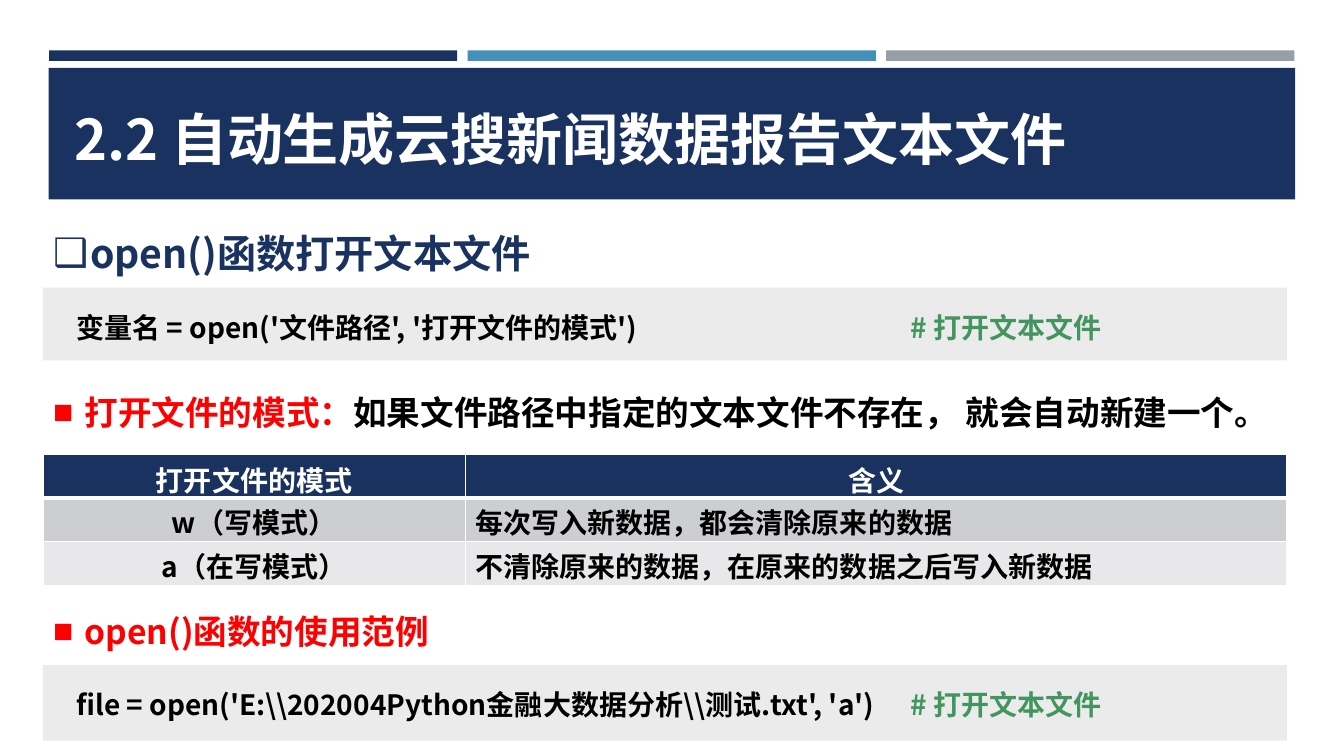
"""Build the slide on opening text files with open()."""
from lxml import etree
from pptx import Presentation
from pptx import util as u
from pptx.dml import color
from pptx.enum import shapes, text
from pptx.oxml import ns

FONT = "Noto Sans CJK SC"
HUES = {"navy": "1A3260", "blue": "4590B8", "grey": "969FA7", "pale": "EBEBEB",
        "white": "FFFFFF", "black": "000000", "red": "FF0000", "green": "42955F",
        "dark": "CDCED2", "light": "E8E8EA"}
LEFT = 30.7
WIDE = 888.5
MODES = [("打开文件的模式", "含义"),
         ("w（写模式）", "每次写入新数据，都会清除原来的数据"),
         ("a（在写模式）", "不清除原来的数据，在原来的数据之后写入新数据")]


def hue(name):
    return color.RGBColor.from_string(HUES[name])


def write(frame, *runs, size=20, align=text.PP_ALIGN.LEFT, line=1.0, after=0,
          anchor=text.MSO_ANCHOR.TOP):
    frame.word_wrap = True
    frame.vertical_anchor = anchor
    para = frame.paragraphs[0]
    para.alignment = align
    para.line_spacing = line
    para.space_before = u.Pt(0)
    para.space_after = u.Pt(after)
    for words, tint in runs:
        run = para.add_run()
        run.text = words
        font = run.font
        font.size, font.bold, font.name = u.Pt(size), True, FONT
        font.color.rgb = hue(tint)
        east = etree.SubElement(font._element, ns.qn("a:ea"))
        east.set("typeface", FONT)
    return para


def place(shape, x, y, w, h):
    shape.left, shape.top = u.Pt(x), u.Pt(y)
    shape.width, shape.height = u.Pt(w), u.Pt(h)


def block(slide, x, y, w, h, tint):
    rect = slide.shapes.add_shape(shapes.MSO_SHAPE.RECTANGLE,
                                  u.Pt(x), u.Pt(y), u.Pt(w), u.Pt(h))
    rect.shadow.inherit = False
    rect.fill.solid()
    rect.fill.fore_color.rgb = hue(tint)
    rect.line.fill.background()
    return rect


def point(holder, y, h, *runs, mark="■", inset=22.5, size=24, after=0):
    place(holder, LEFT, y, 893, h)
    frame = holder.text_frame
    frame.auto_size = text.MSO_AUTO_SIZE.NONE
    para = write(frame, *runs, size=size, line=1.5, after=after)
    props = para._p.get_or_add_pPr()
    props.set("marL", str(u.Pt(inset)))
    props.set("indent", str(-u.Pt(inset)))
    etree.SubElement(props, ns.qn("a:buFont")).set("typeface", "Arial")
    etree.SubElement(props, ns.qn("a:buChar")).set("char", mark)


def label(slide, x, y, w, words, tint):
    box = slide.shapes.add_textbox(u.Pt(x), u.Pt(y), u.Pt(w), u.Pt(34.5))
    write(box.text_frame, (words, tint), line=u.Pt(30))


def sample(slide, y, h, words):
    block(slide, LEFT, y, WIDE, h, "pale")
    label(slide, 47.5, y + 6.8, 902, words, "black")
    label(slide, 643, y + 6.8, 305, "# 打开文本文件", "green")


def rule(cell, width):
    edge = etree.Element(ns.qn("a:lnB"), w=str(u.Pt(width)))
    fill = etree.SubElement(edge, ns.qn("a:solidFill"))
    etree.SubElement(fill, ns.qn("a:srgbClr")).set("val", HUES["white"])
    cell._tc.get_or_add_tcPr().insert(0, edge)


def grid(slide, y, rows):
    table = slide.shapes.add_table(len(rows), 2, u.Pt(LEFT), u.Pt(y),
                                   u.Pt(WIDE), u.Pt(31.2 * len(rows))).table
    for col, width in zip(table.columns, (301.7, 586.8)):
        col.width = u.Pt(width)
    for r, (row, tint) in enumerate(zip(rows, ("navy", "dark", "light"))):
        for c, words in enumerate(row):
            cell = table.cell(r, c)
            cell.margin_top, cell.margin_bottom = u.Pt(2.2 if r else 3.2), u.Pt(0)
            cell.fill.solid()
            cell.fill.fore_color.rgb = hue(tint)
            rule(cell, 1 if r else 3)
            mid = r == 0 or c == 0
            write(cell.text_frame, (words, "black" if r else "white"),
                  align=text.PP_ALIGN.CENTER if mid else text.PP_ALIGN.LEFT)


def main():
    deck = Presentation()
    deck.slide_width, deck.slide_height = u.Pt(960), u.Pt(540)
    slide = deck.slides.add_slide(deck.slide_layouts[4])
    title, first, second, third, spare = slide.placeholders
    spare._element.getparent().remove(spare._element)

    for i, tint in enumerate(("navy", "blue", "grey")):
        block(slide, 35 + 299 * i, 36, 291.6, 7.5, tint)
    band = block(slide, 34.7, 48.5, 890.5, 94, "navy")
    title._element.addprevious(band._element)

    place(title, 45.8, 71, 858, 55.5)
    write(title.text_frame, ("2.2 自动生成云搜新闻数据报告文本文件", "white"),
          size=40, anchor=text.MSO_ANCHOR.MIDDLE)
    point(first, 143.5, 52, ("open()函数打开文本文件", "navy"),
          mark="❑", inset=26.6, size=28, after=12)
    sample(slide, 205.5, 52, "变量名 = open('文件路径', '打开文件的模式')")
    point(second, 262, 46, ("打开文件的模式：", "red"),
          ("如果文件路径中指定的文本文件不存在， 就会自动新建一个。", "black"))
    grid(slide, 324.7, MODES)
    point(third, 418.5, 46, ("open()函数的使用范例", "red"))
    sample(slide, 475, 54,
           r"file = open('E:\\202004Python金融大数据分析\\测试.txt', 'a')")
    deck.save("out.pptx")


if __name__ == "__main__":
    main()
